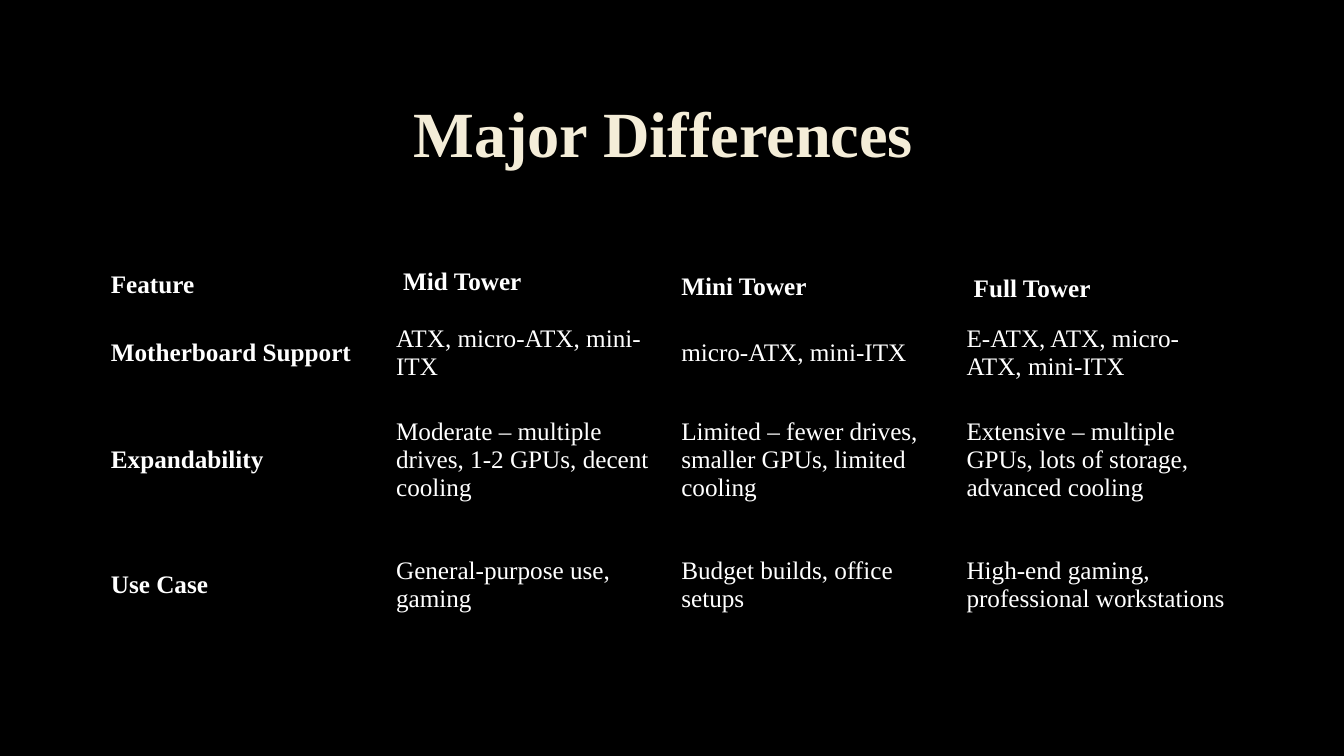
import pptx
import pptx.dml.color
import pptx.enum.text
import pptx.oxml.ns
import pptx.util
from lxml import etree

Pt = pptx.util.Pt
ANCHOR = pptx.enum.text.MSO_ANCHOR
ALIGN = pptx.enum.text.PP_ALIGN

LEFT, WIDTH = 72, 815
LINE = 28.8

TABLES = [
    # left, top, width, height, row height (0 fits the text), cells
    (LEFT, 292.3, WIDTH, 72, 70.8,
     ["Expandability",
      "Moderate – multiple drives, 1-2 GPUs, decent cooling",
      "Limited – fewer drives, smaller GPUs, limited cooling",
      "Extensive – multiple GPUs, lots of storage, advanced cooling"]),
    (LEFT, 392.4, WIDTH, 50.4, 0,
     ["Use Case", "General-purpose use, gaming",
      "Budget builds, office setups",
      "High-end gaming, professional workstations"]),
    (LEFT, 226.6, WIDTH, 50.4, 41.8,
     ["Motherboard Support", "ATX, micro-ATX, mini-ITX",
      "micro-ATX, mini-ITX", "E-ATX, ATX, micro-ATX, mini-ITX"]),
    (57.6, 489.6, WIDTH, LINE, 0, [""]),
    (LEFT, 189.4, 185, LINE, 0, ["Feature"]),
    (280.8, 187.2, 185, LINE, 0, ["Mid Tower"]),
    (479.5, 190.8, 104.4, LINE, 0, ["Mini Tower"]),
    (LEFT, 295.2, WIDTH, LINE, 0, [""]),
    (688.3, 192.2, 199.4, LINE, 0, ["Full Tower"]),
]


def color(value):
    return pptx.dml.color.RGBColor.from_string(value)


class Deck:
    font = "Times New Roman"
    background = "000000"
    title_color = "F4EDD8"
    text_color = "FFFFFF"

    def __init__(self, prs):
        self.s = prs.slides.add_slide(prs.slide_layouts[6])
        fill = self.s.background.fill
        fill.solid()
        fill.fore_color.rgb = color(self.background)

    def add_run(self, p, text, size, rgb, bold):
        r = p.add_run()
        r.text = text
        r.font.name = self.font
        r.font.size = Pt(size)
        r.font.bold = bold
        r.font.color.rgb = color(rgb)

    def title(self, text, x, y, w, h):
        tf = self.s.shapes.add_textbox(Pt(x), Pt(y), Pt(w), Pt(h)).text_frame
        tf.word_wrap = True
        tf.vertical_anchor = ANCHOR.MIDDLE
        p = tf.paragraphs[0]
        p.alignment = ALIGN.CENTER
        p.line_spacing = 0.9
        self.add_run(p, text, 46, self.title_color, True)

    def clear_cell(self, cell):
        """Remove the fill and the borders of a cell."""
        cell.fill.background()
        tc_pr = cell._tc.get_or_add_tcPr()
        for i, side in enumerate(("a:lnL", "a:lnR", "a:lnT", "a:lnB")):
            ln = etree.Element(pptx.oxml.ns.qn(side))
            etree.SubElement(ln, pptx.oxml.ns.qn("a:noFill"))
            tc_pr.insert(i, ln)

    def table_row(self, x, y, w, h, row_height, texts):
        """Add a one-row table with equal columns and a bold first cell."""
        frame = self.s.shapes.add_table(
            1, len(texts), Pt(x), Pt(y), Pt(w), Pt(h))
        table = frame.table
        table.first_row = False
        table.horz_banding = False
        table.rows[0].height = Pt(row_height)
        frame.height = Pt(h)
        for i, text in enumerate(texts):
            cell = table.cell(0, i)
            self.clear_cell(cell)
            cell.vertical_anchor = ANCHOR.MIDDLE
            if text:
                p = cell.text_frame.paragraphs[0]
                self.add_run(p, text, 18, self.text_color, i == 0)


def main():
    prs = pptx.Presentation()
    prs.slide_width, prs.slide_height = Pt(960), Pt(540)
    deck = Deck(prs)
    deck.title("Major Differences ", LEFT, 48.2, WIDTH, 99.4)
    for table in TABLES:
        deck.table_row(*table)
    prs.save("out.pptx")


if __name__ == "__main__":
    main()
